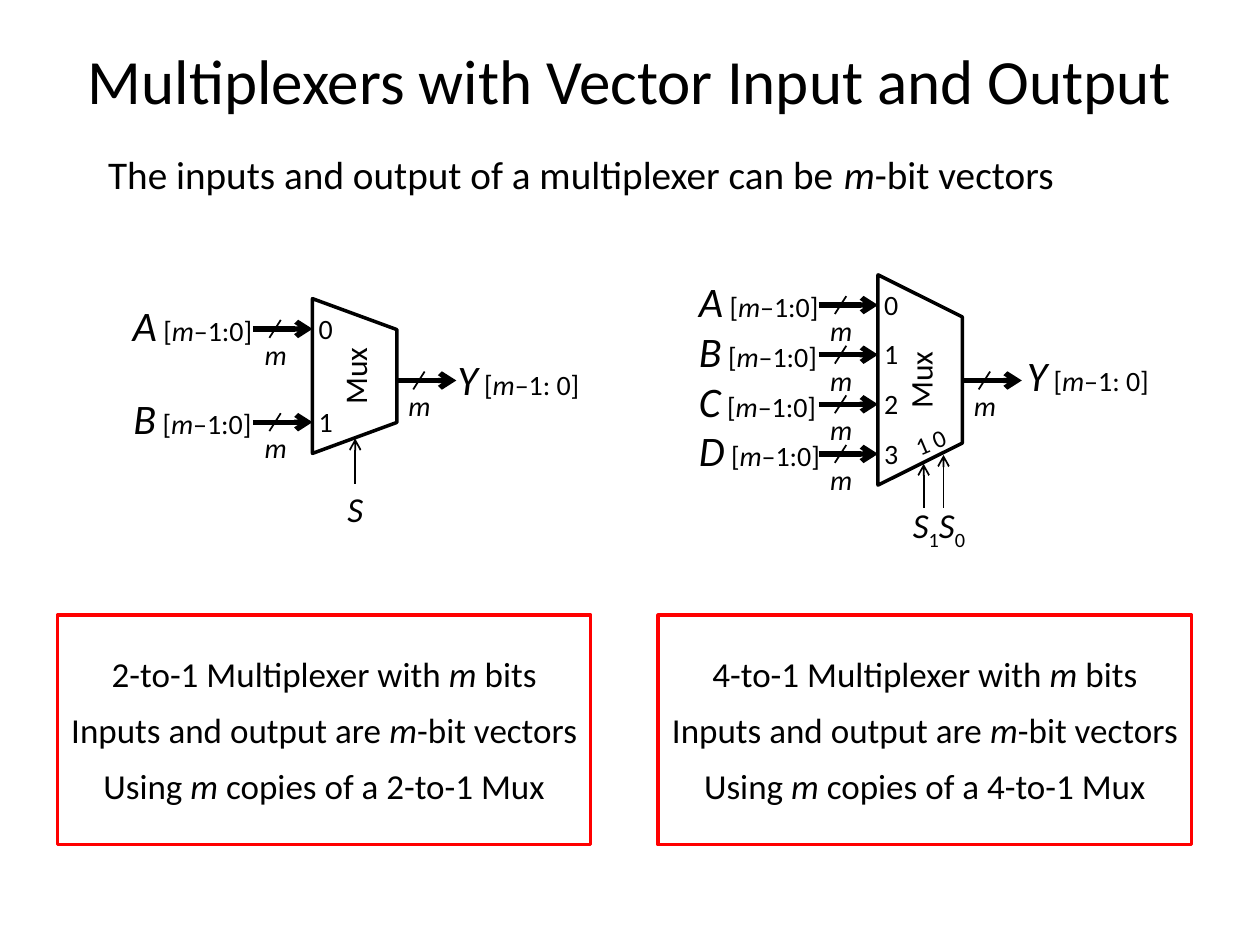
from dataclasses import dataclass
from typing import NamedTuple

from lxml import etree
from pptx import Presentation
from pptx.dml.color import RGBColor
from pptx.enum.shapes import MSO_CONNECTOR, MSO_SHAPE
from pptx.enum.text import MSO_ANCHOR, PP_ALIGN
from pptx.oxml.ns import qn
from pptx.util import Cm, Pt

LEFT, CENTER = PP_ALIGN.LEFT, PP_ALIGN.CENTER
TOP, MIDDLE = MSO_ANCHOR.TOP, MSO_ANCHOR.MIDDLE
STRAIGHT = MSO_CONNECTOR.STRAIGHT
RECT, TRAPEZOID = MSO_SHAPE.RECTANGLE, MSO_SHAPE.FLOWCHART_MANUAL_OPERATION

COLORS = {"ink": "000000", "frame": "FF0000"}
FONT = "Calibri"
BUS_LENGTH = 1.2
BODY_DEPTH = 1.7


class Run(NamedTuple):
    text: str
    size: float
    italic: bool = False
    subscript: bool = False


class Box(NamedTuple):
    left: float
    top: float
    width: float
    height: float


class Select(NamedTuple):
    x: float
    tip_y: float


@dataclass
class Mux:
    bus_x: float
    center_y: float
    span: float
    inputs: str
    first_y: float
    pitch: float
    label_x: float
    label_width: float
    label_align: PP_ALIGN
    output_label: Box
    selects: list[Select]
    select_y: float
    select_label: Box
    select_runs: list[Run]


def color(name: str) -> RGBColor:
    return RGBColor.from_string(COLORS[name])


def fill_text(s, paragraphs: list[list[Run]], align=CENTER, anchor=MIDDLE,
              wrap: bool = False, inset: tuple[float, float] = (0, 0),
              gap: float = 0) -> None:
    """Write the runs; gap is the space between paragraphs in points."""
    tf = s.text_frame
    tf.word_wrap = wrap
    tf.vertical_anchor = anchor
    tf.margin_left = tf.margin_right = Cm(inset[0])
    tf.margin_top = tf.margin_bottom = Cm(inset[1])
    for i, runs in enumerate(paragraphs):
        p = tf.add_paragraph() if i else tf.paragraphs[0]
        p.alignment = align
        p.space_before = Pt(gap if i else 0)
        for run in runs:
            r = p.add_run()
            r.text = run.text
            r.font.name = FONT
            r.font.size = Pt(run.size)
            r.font.italic = run.italic
            r.font.color.rgb = color("ink")
            if run.subscript:
                r.font._element.set("baseline", "-25000")


def add_text(slide, box: Box, runs: list[Run], **options):
    s = slide.shapes.add_textbox(*map(Cm, box))
    fill_text(s, [runs], **options)
    return s


def add_outline(slide, kind, box: Box, line: str):
    s = slide.shapes.add_shape(kind, *map(Cm, box))
    s.shadow.inherit = False
    s.fill.background()
    s.line.color.rgb = color(line)
    s.line.width = Pt(2)
    return s


def add_line(slide, x1: float, y1: float, x2: float, y2: float,
             width: float = 1, arrow: bool = False) -> None:
    s = slide.shapes.add_connector(STRAIGHT, Cm(x1), Cm(y1), Cm(x2), Cm(y2))
    s.line.color.rgb = color("ink")
    s.line.width = Pt(width)
    if arrow:
        etree.SubElement(s.line._get_or_add_ln(), qn("a:tailEnd"), type="arrow")
    etree.SubElement(s._element.spPr, qn("a:effectLst"))


def add_bus(slide, x: float, y: float) -> None:
    """Draw a thick arrow with a slash and its bit width m."""
    add_line(slide, x, y, x + BUS_LENGTH, y, width=3, arrow=True)
    add_line(slide, x + 0.56, y - 0.18, x + 0.33, y + 0.18)
    add_text(slide, Box(x, y + 0.18, 0.91, 0.66), [Run("m", 16, True)])


def vector(name: str, low: str) -> list[Run]:
    return [Run(name, 24, True), Run(" [", 16), Run("m", 16, True), Run(low, 16)]


def add_mux(slide, mux: Mux) -> None:
    body_x = mux.bus_x + BUS_LENGTH
    # The box is laid out before its quarter turn about the centre.
    body = add_outline(slide, TRAPEZOID, Box(
        body_x + (BODY_DEPTH - mux.span) / 2, mux.center_y - BODY_DEPTH / 2,
        mux.span, BODY_DEPTH), "ink")
    body.rotation = 270
    fill_text(body, [[Run("Mux", 18)]])

    for i, name in enumerate(mux.inputs):
        y = mux.first_y + i * mux.pitch
        add_text(slide, Box(mux.label_x, y - 0.58, mux.label_width, 1),
                 vector(name, "–1:0]"), align=mux.label_align)
        add_bus(slide, mux.bus_x, y)
        add_text(slide, Box(body_x + 0.1, y - 0.36, 0.33, 0.68), [Run(str(i), 16)])

    add_bus(slide, body_x + BODY_DEPTH, 7.67)
    add_text(slide, mux.output_label, vector("Y", "–1: 0]"))
    for select in mux.selects:
        add_line(slide, select.x, mux.select_y, select.x, select.tip_y, arrow=True)
    add_text(slide, mux.select_label, mux.select_runs)


def add_summary(slide, left: float, kind: str) -> None:
    m = Run("m", 20, True)
    s = add_outline(slide, RECT, Box(left, 12.4, 10.75, 4.63), "frame")
    fill_text(s, [
        [Run(f"{kind} Multiplexer with ", 20), m, Run(" bits", 20)],
        [Run("Inputs and output are ", 20), m, Run("-bit vectors", 20)],
        [Run("Using ", 20), m, Run(f" copies of a {kind} Mux", 20)],
    ], wrap=True, inset=(0.2, 0.13), gap=8)


MUX_2 = Mux(
    bus_x=5.1, center_y=7.58, span=3.12, inputs="AB", first_y=6.63, pitch=1.88,
    label_x=2.56, label_width=2.64, label_align=CENTER,
    output_label=Box(9.05, 7.14, 2.8, 1),
    selects=[Select(7.16, 8.84)], select_y=9.75,
    select_label=Box(6.71, 9.88, 0.91, 0.76), select_runs=[Run("S", 20, True)])
MUX_4 = Mux(
    bus_x=16.5, center_y=7.66, span=4.24, inputs="ABCD", first_y=6.15, pitch=1,
    label_x=14.09, label_width=2.7, label_align=LEFT,
    output_label=Box(20.53, 7.06, 2.8, 1),
    selects=[Select(18.62, 9.35), Select(19.02, 9.17)], select_y=10.24,
    select_label=Box(18.18, 10.26, 1.5, 0.76),
    select_runs=[Run("S", 20, True), Run("1", 20, subscript=True),
                 Run("S", 20, True), Run("0", 20, subscript=True)])


def main() -> None:
    prs = Presentation()
    prs.slide_width, prs.slide_height = Cm(25.4), Cm(19.05)
    slide = prs.slides.add_slide(prs.slide_layouts[6])

    add_text(slide, Box(1.27, 0, 22.86, 3.18),
             [Run("Multiplexers with Vector Input and Output", 36)],
             wrap=True, inset=(0.25, 0.13))
    add_text(slide, Box(1.93, 2.9, 21.39, 1.63),
             [Run("The inputs and output of a multiplexer can be ", 22.4),
              Run("m", 22.4, True), Run("-bit vectors", 22.4)],
             align=LEFT, anchor=TOP, wrap=True, inset=(0.25, 0.13))

    add_summary(slide, 1.16, "2-to-1")
    add_summary(slide, 13.27, "4-to-1")
    add_mux(slide, MUX_2)
    add_mux(slide, MUX_4)
    bits = add_text(slide, Box(18.36, 8.56, 0.79, 0.69), [Run("1 0", 14)])
    bits.rotation = 337.3

    prs.save("out.pptx")


if __name__ == "__main__":
    main()
